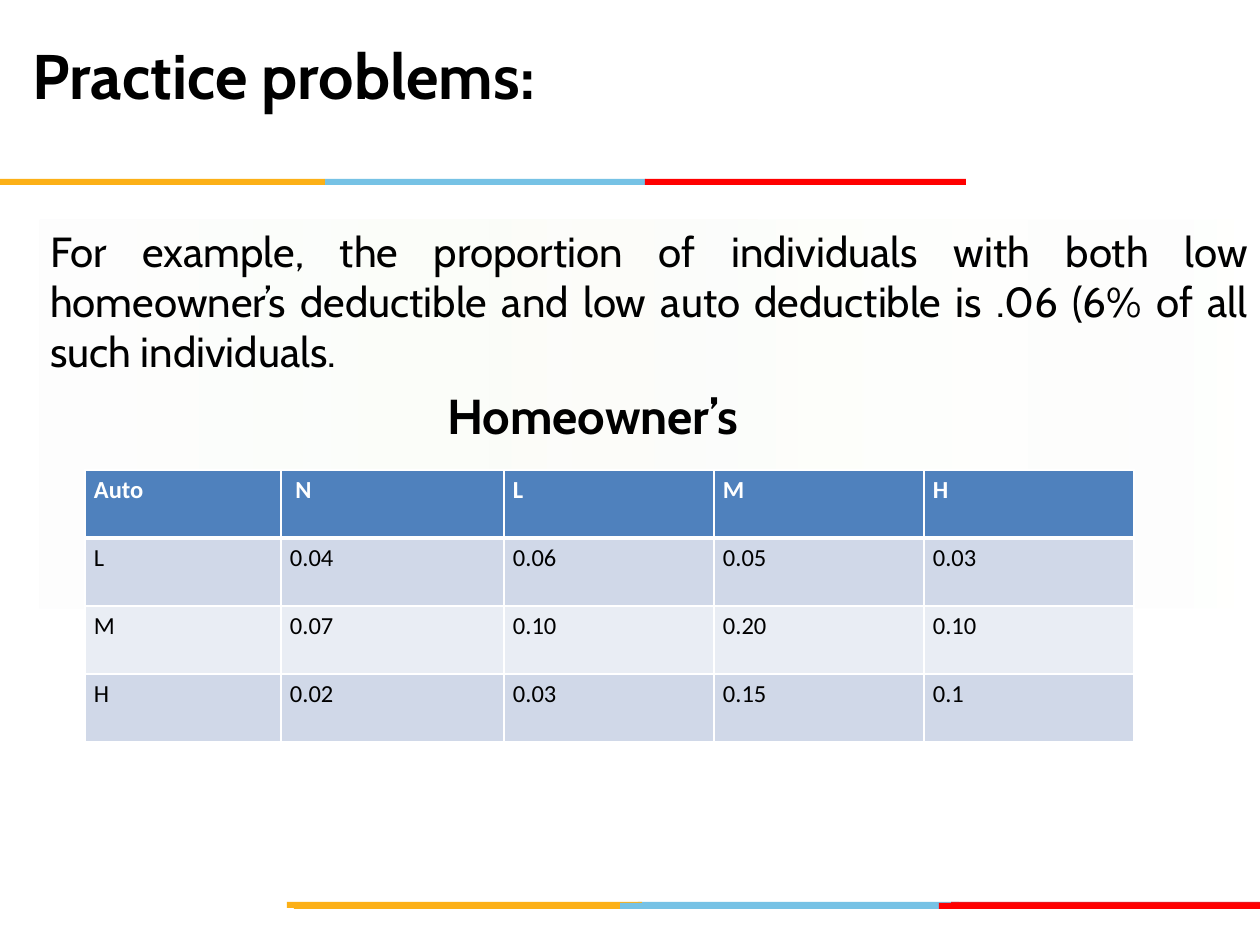
from lxml import etree
from pptx import Presentation
from pptx import util as u
from pptx.dml.color import RGBColor
from pptx.enum import shapes, text
from pptx.oxml.ns import qn

PX = 914400 // 126
FONT = "Cabin"
BLACK, WHITE = "000000", "FFFFFF"
AMBER, SKY, RED, DARK_RED = "FCB017", "76C2E5", "FF0000", "E31C24"

TITLE = "Practice problems:"
BODY = ("For example, the proportion of individuals with both low homeowner’s "
        "deductible and low auto deductible is .06 (6% of all such individuals.")
CAPTION = "Homeowner’s"
ROWS = [
    ["Auto", " N", "L", "M", "H"],
    ["L", "0.04", "0.06", "0.05", "0.03"],
    ["M", "0.07", "0.10", "0.20", "0.10"],
    ["H", "0.02", "0.03", "0.15", "0.1"],
]
COLUMN_WIDTHS = [196, 223, 210, 210, 210]
ROW_HEIGHT = 68
ROW_FILLS = ["4F81BD", "D0D8E8", "E9EDF4", "D0D8E8"]

# Each rule: top, then (left, width, colour) of its bars
RULES = [
    (902, [(638, 321, SKY), (951, 309, DARK_RED), (287, 355, AMBER)]),
    (903, [(620, 321, SKY), (294, 326, AMBER), (939, 321, RED)]),
    (179, [(325, 321, SKY), (0, 325, AMBER), (645, 321, RED)]),
]
BODY_GRADIENT = [(0, "FAF9FB", 36), (35, "F6F9F0", 39), (100, WHITE, 54)]


def rgb(value):
    return RGBColor.from_string(value)


def box(*lengths):
    return [n * PX for n in lengths]


def place(sp, *lengths):
    sp.left, sp.top, sp.width, sp.height = box(*lengths)


def write(tf, words, size, color=BLACK, bold=False, font=FONT, align=None):
    p = tf.paragraphs[0]
    p.text = words
    p.alignment = align
    p.font.size, p.font.name, p.font.bold = u.Pt(size), font, bold
    p.font.color.rgb = rgb(color)
    return p


def add_color(parent, value, alpha=100):
    clr = etree.SubElement(parent, qn("a:srgbClr"), val=value)
    if alpha < 100:
        etree.SubElement(clr, qn("a:alpha"), val=str(alpha * 1000))


def fill_gradient(sp, stops):
    sp.fill.background()
    old = sp._element.spPr.find(qn("a:noFill"))
    grad = etree.Element(qn("a:gradFill"))
    stop_list = etree.SubElement(grad, qn("a:gsLst"))
    for pos, value, alpha in stops:
        add_color(etree.SubElement(stop_list, qn("a:gs"), pos=str(pos * 1000)), value, alpha)
    etree.SubElement(grad, qn("a:lin"), ang="0", scaled="0")
    old.getparent().replace(old, grad)


def add_borders(cell, bottom):
    tc_pr = cell._tc.get_or_add_tcPr()
    for i, (side, width) in enumerate([("L", 1), ("R", 1), ("T", 1), ("B", bottom)]):
        ln = etree.Element(qn("a:ln" + side), w=str(u.Pt(width)))
        add_color(etree.SubElement(ln, qn("a:solidFill")), WHITE)
        tc_pr.insert(i, ln)


prs = Presentation()
prs.slide_width, prs.slide_height = box(1260, 945)
s = prs.slides.add_slide(prs.slide_layouts[1])
title, body = s.placeholders

# Coloured rules
for top, bars in RULES:
    for left, width, color in bars:
        bar = s.shapes.add_shape(shapes.MSO_SHAPE.RECTANGLE, *box(left, top, width, 6))
        bar.shadow.inherit = False
        bar.fill.solid()
        bar.fill.fore_color.rgb = rgb(color)
        bar.line.fill.background()

# Title
place(title, 20, -5, 766, 158)
title.text_frame.auto_size = text.MSO_AUTO_SIZE.NONE
title.text_frame.vertical_anchor = text.MSO_ANCHOR.MIDDLE
write(title.text_frame, TITLE, 36, bold=True, align=text.PP_ALIGN.LEFT)

# Body text
place(body, 40, 220, 1218, 389)
fill_gradient(body, BODY_GRADIENT)
tf = body.text_frame
tf.auto_size = text.MSO_AUTO_SIZE.NONE
tf.margin_left = tf.margin_right = 10 * PX
tf.margin_top = tf.margin_bottom = 5 * PX
p_pr = write(tf, BODY, 24, align=text.PP_ALIGN.JUSTIFY)._p.get_or_add_pPr()
p_pr.set("marL", "0")
p_pr.set("indent", "0")
p_pr.insert_element_before(etree.Element(qn("a:buNone")), "a:tabLst", "a:defRPr", "a:extLst")

# Deductible table
table = s.shapes.add_table(len(ROWS), len(COLUMN_WIDTHS), *box(
    85, 470, sum(COLUMN_WIDTHS), ROW_HEIGHT * len(ROWS))).table
for column, width in zip(table.columns, COLUMN_WIDTHS):
    column.width = width * PX
for r, (row, fill) in enumerate(zip(ROWS, ROW_FILLS)):
    header = r == 0
    table.rows[r].height = ROW_HEIGHT * PX
    for c, words in enumerate(row):
        cell = table.cell(r, c)
        cell.margin_left = cell.margin_right = 9 * PX
        cell.margin_top = cell.margin_bottom = 5 * PX
        cell.fill.solid()
        cell.fill.fore_color.rgb = rgb(fill)
        add_borders(cell, 3 if header else 1)
        write(cell.text_frame, words, 14, WHITE if header else BLACK, header, "Calibri")

# Table caption
caption = s.shapes.add_textbox(*box(435, 379, 428, 72))
caption.text_frame.word_wrap = True
write(caption.text_frame, CAPTION, 28, bold=True, align=text.PP_ALIGN.JUSTIFY)

prs.save("out.pptx")
